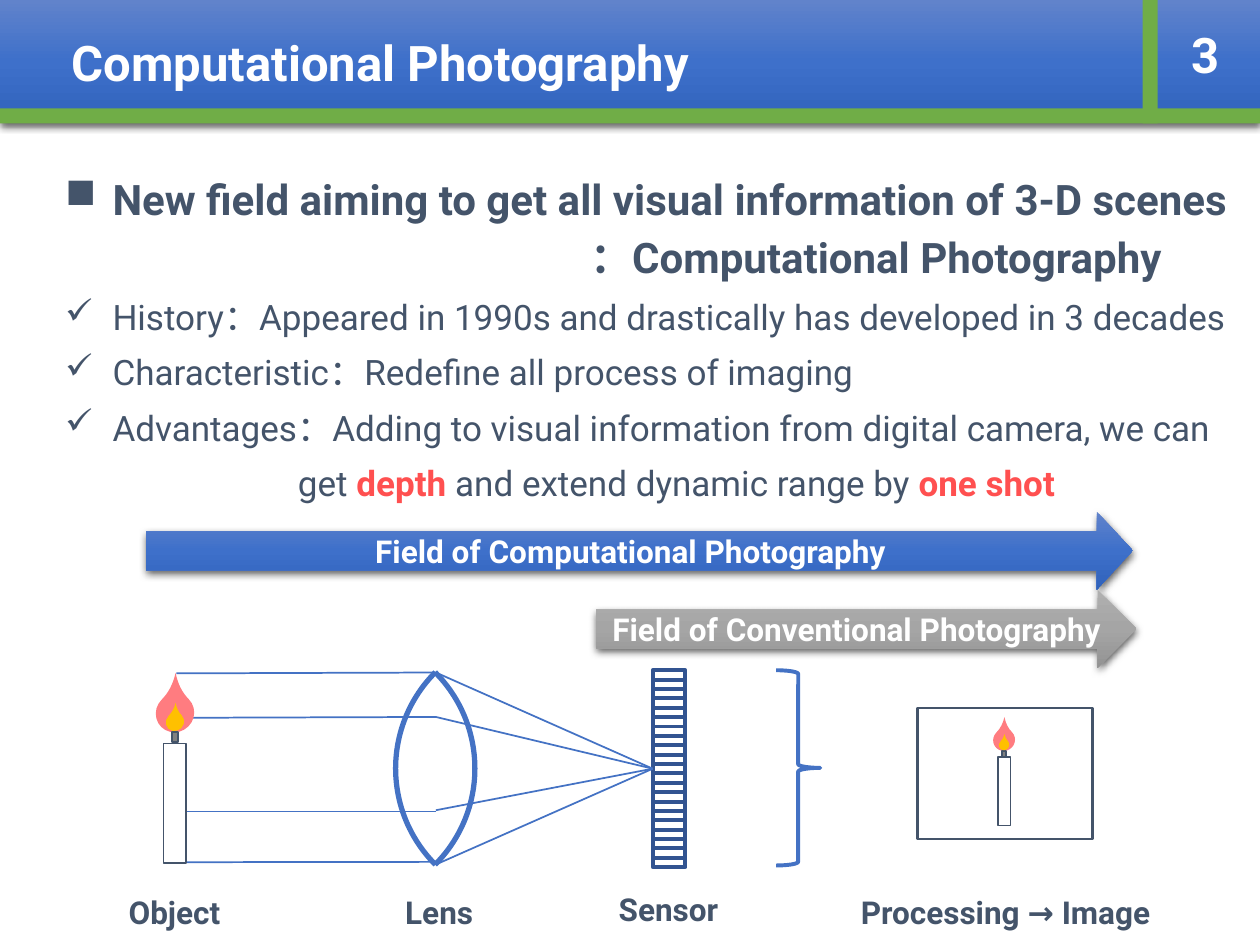
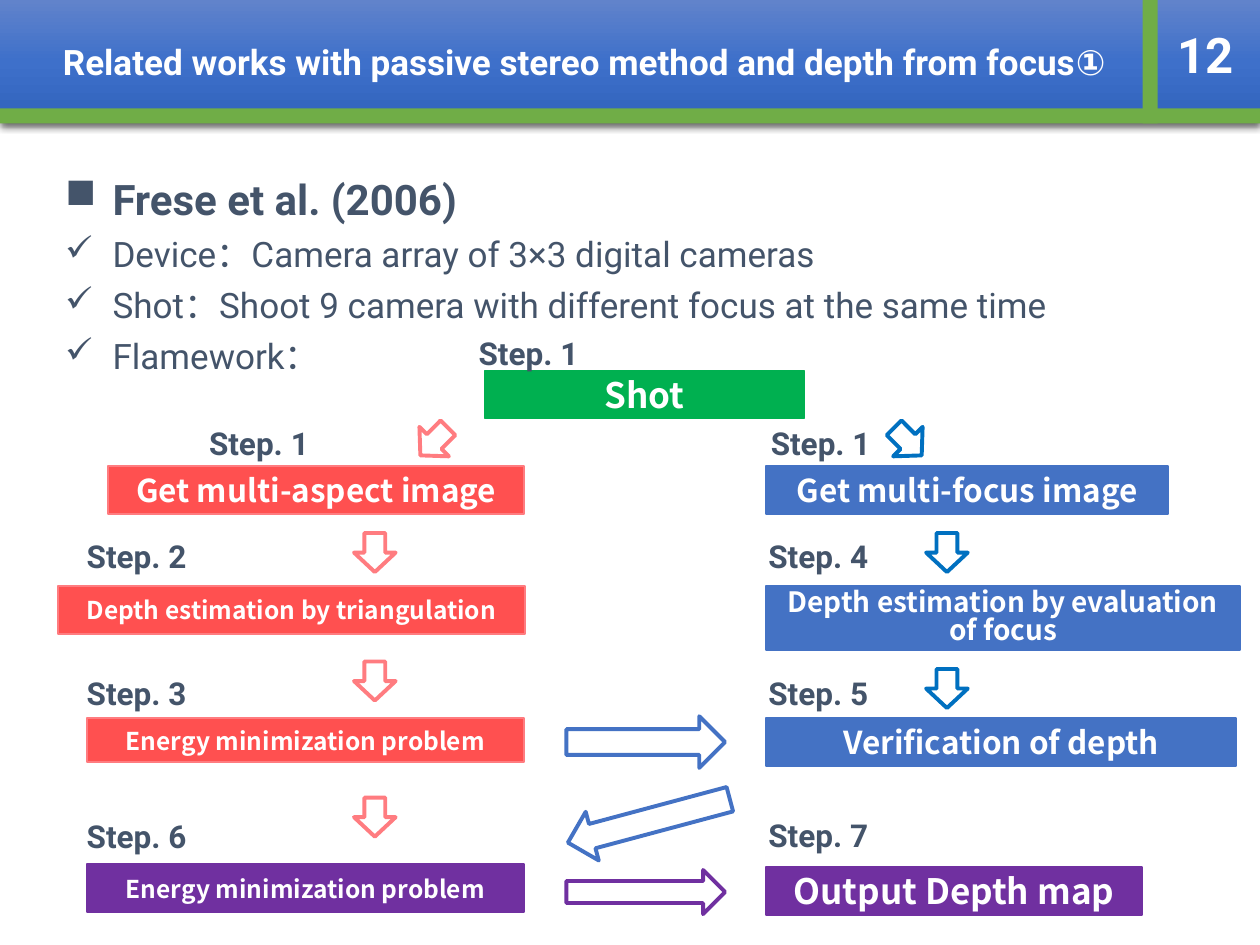
from lxml import etree
from pptx import Presentation
from pptx.dml.color import RGBColor
from pptx.enum.shapes import MSO_CONNECTOR, MSO_SHAPE
from pptx.enum.text import MSO_ANCHOR, PP_ALIGN
from pptx.oxml import parse_xml
from pptx.oxml.ns import nsdecls, qn
from pptx.util import Pt

RECT, ARC, TEARDROP = MSO_SHAPE.RECTANGLE, MSO_SHAPE.ARC, MSO_SHAPE.TEAR
RIGHT_ARROW, UP_ARROW = MSO_SHAPE.RIGHT_ARROW, MSO_SHAPE.UP_ARROW
BRACE, STRAIGHT = MSO_SHAPE.RIGHT_BRACE, MSO_CONNECTOR.STRAIGHT
LEFT, CENTER = PP_ALIGN.LEFT, PP_ALIGN.CENTER
TOP, MIDDLE = MSO_ANCHOR.TOP, MSO_ANCHOR.MIDDLE


class Theme:
    font, box_font = "Roboto", "Noto Sans CJK JP"
    white, ink, gray = "FFFFFF", "44546A", "808080"
    blue, navy, azure = "4472C4", "325491", "0070C0"
    green, bright_green, purple = "70AD47", "00B050", "7030A0"
    red, pink, amber = "FF5050", "FF7C80", "FFC000"
    blue_gradient = ("6183CB", "3E70CA", "3062BB")
    gray_gradient = ("AFAFAF", "A5A5A5", "939393")
    title, heading, body, label = 28, 24, 20, 18
    small_title, box_small, box_medium = 20, 14, 16


def add_shape(s, kind, box, fill=None, line=None, width=1):
    """Add a preset shape; a tuple of colours gives a shaded, shadowed fill."""
    sp = s.shapes.add_shape(kind, *[Pt(v) for v in box])
    sp.shadow.inherit = False
    if isinstance(fill, tuple):
        sp.fill.gradient()
        sp.fill.gradient_angle = 270
        sp_pr = sp._element.spPr
        stops = sp_pr.find(qn("a:gradFill")).find(qn("a:gsLst"))
        for stop in list(stops):
            stops.remove(stop)
        for pos, color in zip((0, 50000, 100000), fill):
            gs = etree.SubElement(stops, qn("a:gs"), pos=str(pos))
            etree.SubElement(gs, qn("a:srgbClr"), val=color)
        sp_pr.find(qn("a:effectLst")).append(parse_xml(
            f'<a:outerShdw {nsdecls("a")} blurRad="57150" dist="19050" dir="5400000" '
            'algn="ctr" rotWithShape="0"><a:srgbClr val="000000">'
            '<a:alpha val="63000"/></a:srgbClr></a:outerShdw>'))
    elif fill:
        sp.fill.solid()
        sp.fill.fore_color.rgb = RGBColor.from_string(fill)
    else:
        sp.fill.background()
    if line:
        sp.line.color.rgb = RGBColor.from_string(line)
        sp.line.width = Pt(width)
    else:
        sp.line.fill.background()
    return sp


def write(sp, text, size, color=Theme.white, font=Theme.font, align=CENTER,
          anchor=MIDDLE, spacing=1.0):
    """Put one bold paragraph into a shape or text box."""
    tf = sp.text_frame
    tf.word_wrap = True
    tf.vertical_anchor = anchor
    tf.text = text
    p = tf.paragraphs[0]
    p.alignment, p.line_spacing = align, spacing
    f = p.runs[0].font
    f.name, f.size, f.bold = font, Pt(size), True
    f.color.rgb = RGBColor.from_string(color)


prs = Presentation()
prs.slide_width, prs.slide_height = Pt(720), Pt(540)

# Title, title size, title inset, number, body width, body lines.
# A line is: bullet, left margin, size, bold, line spacing, text (*emphasised*).
HEAD, ITEM = ("■", 27, Theme.heading, True), ("✓", 27, Theme.body, False)
pages = [
    ("Computational Photography", Theme.title, 41, "3", 689.8, [
        (*HEAD, 0.9, "New field aiming to get all visual information of 3-D scenes"),
        ("", 300, Theme.heading, True, 0.9, "：Computational Photography"),
        (*ITEM, 1.0, "History：Appeared in 1990s and drastically has developed in 3 decades"),
        (*ITEM, 1.0, "Characteristic：Redefine all process of imaging"),
        (*ITEM, 1.0, "Advantages：Adding to visual information from digital camera, we can"),
        ("", 133, Theme.body, False, 1.0,
         "get *depth* and extend dynamic range by *one shot*"),
    ]),
    ("Related works with passive stereo method and depth from focus①",
     Theme.small_title, 36, "12", 658.8, [
        (*HEAD, 0.9, "Frese et al. (2006)"),
        (*ITEM, 0.9, "Device：Camera array of 3×3 digital cameras"),
        (*ITEM, 0.9, "Shot：Shoot 9 camera with different focus at the same time"),
        (*ITEM, 0.9, "Flamework："),
    ]),
]

slides = []
for title, size, inset, number, body_width, lines in pages:
    s = prs.slides.add_slide(prs.slide_layouts[6])
    slides.append(s)

    # Title band with green stripes and slide number
    band = add_shape(s, RECT, (0, 0, 720, 70.5), Theme.blue_gradient)
    write(band, title, size, align=LEFT)
    band.text_frame.margin_left = Pt(inset)
    add_shape(s, RECT, (0, 62, 720, 8.5), Theme.green)
    write(s.shapes.add_textbox(Pt(657.4), 0, Pt(62.6), Pt(62)), number, Theme.title)
    add_shape(s, RECT, (653, 0, 8.5, 70.5), Theme.green)

    # Body text
    tf = s.shapes.add_textbox(Pt(30.2), Pt(98.6), Pt(body_width), Pt(300)).text_frame
    tf.word_wrap = True
    for i, (bullet, margin, size, bold, spacing, text) in enumerate(lines):
        p = tf.add_paragraph() if i else tf.paragraphs[0]
        p_pr = p._p.get_or_add_pPr()
        p_pr.set("marL", str(Pt(margin)))
        p_pr.set("indent", str(-Pt(margin) if bullet else 0))
        if bullet:
            etree.SubElement(p_pr, qn("a:buChar"), char=bullet)
        else:
            etree.SubElement(p_pr, qn("a:buNone"))
        p.line_spacing = spacing
        if i:
            p.space_before = Pt(7.5)
        for j, part in enumerate(text.split("*")):
            if not part:
                continue
            r = p.add_run()
            r.text = part
            strong = j % 2 == 1
            r.font.name, r.font.size, r.font.bold = Theme.font, Pt(size), bold or strong
            r.font.color.rgb = RGBColor.from_string(Theme.red if strong else Theme.ink)

imaging, framework = slides

# Imaging: arrows naming the two fields
s = imaging
field = add_shape(s, RIGHT_ARROW, (83.5, 292.3, 563.8, 44.6), Theme.blue_gradient)
field.adjustments[1] = 0.46
write(field, "Field of Computational Photography", Theme.label)
field = add_shape(s, RIGHT_ARROW, (340.6, 337, 308.9, 44.6), Theme.gray_gradient)
write(field, "Field of Conventional Photography", Theme.label)

# Lens: two facing arcs, angles in units of 100000/60000 degree
for x, start, end in [(115.9, 315, 45), (226.1, 135, 225)]:
    arc = add_shape(s, ARC, (x, 361.4, 155.5, 155.5), None, Theme.blue, 3)
    arc.adjustments[0], arc.adjustments[1] = start * 0.6, end * 0.6

# Sensor: a column of cells
CELL = 5.36
cells = [add_shape(s, RECT, (373, 383 + i * CELL, 18.7, CELL), None, Theme.navy, 2.25)
         for i in range(21)]

# Light rays: object to lens, then lens to the middle sensor cell
for object_y, lens_y, bent_y in [(384.8, 384.3, 384.3), (410.2, 409.7, 409.7),
                                 (463.7, 463.7, 463), (492.7, 492.5, 494)]:
    ray_in = s.shapes.add_connector(STRAIGHT, Pt(249.1), Pt(lens_y), Pt(100.8), Pt(object_y))
    ray_out = s.shapes.add_connector(STRAIGHT, Pt(249.1), Pt(bent_y), Pt(373), Pt(439.3))
    ray_out.end_connect(cells[10], 1)
    for ray in (ray_in, ray_out):
        ray.line.color.rgb = RGBColor.from_string(Theme.blue)
        ray.line.width = Pt(1)
        etree.SubElement(ray._element.spPr, qn("a:effectLst"))

# Processing: brace and image frame
add_shape(s, BRACE, (443.5, 383, 25.2, 111.6), None, Theme.blue, 2.25)
add_shape(s, RECT, (524.2, 404.6, 100, 74.9), None, Theme.ink, 1.5)

# Candle as object and, smaller, as its image
candle_parts = [
    (RECT, 0, 13, 68.4, Theme.white, Theme.ink),
    (TEARDROP, -28.1, 22.3, 21.6, Theme.pink, None),
    (RECT, -6.5, 3.6, 5.8, Theme.gray, Theme.ink),
    (TEARDROP, -17.3, 10.8, 10.1, Theme.amber, None),
]
for center, top, scale in [(100, 424.8, 1), (573.8, 432.7, 0.57)]:
    for kind, dy, w, h, fill, line in candle_parts:
        w, h = w * scale, h * scale
        part = add_shape(s, kind, (center - w / 2, top + dy * scale, w, h), fill, line)
        if kind == TEARDROP:
            part.rotation = 315
            part.adjustments[0] = 1.48

# Framework: boxes
s = framework
boxes = [
    ("Shot", (277.2, 211.7, 182.2, 27.4), Theme.bright_green, Theme.bright_green, Theme.body),
    ("Get multi-aspect image", (61.9, 266.4, 237.6, 27.4), Theme.red, Theme.pink, Theme.label),
    ("Depth estimation by triangulation", (33.1, 334.8, 267, 27.4),
     Theme.red, Theme.pink, Theme.box_small),
    ("Energy minimization problem", (49.7, 410.4, 249.8, 25.2),
     Theme.red, Theme.pink, Theme.box_small),
    ("Energy minimization problem", (49.7, 493.9, 249.8, 27.4),
     Theme.purple, Theme.purple, Theme.box_small),
    ("Get multi-focus image", (437.8, 266.4, 229.7, 27.4), Theme.blue, Theme.blue, Theme.label),
    ("Depth estimation by evaluation of focus", (437.8, 334.8, 270.7, 36.7),
     Theme.blue, Theme.blue, Theme.box_medium),
    ("Verification of depth", (437.8, 410.4, 268.6, 27.4), Theme.blue, Theme.blue, Theme.label),
    ("Output Depth map", (437.8, 495.4, 214.6, 27.4), Theme.purple, Theme.purple, Theme.body),
]
for text, box, fill, line, size in boxes:
    write(add_shape(s, RECT, box, fill, line), text, size, font=Theme.box_font,
          spacing=0.85 if size == Theme.box_medium else 1.0)

# Framework: block arrows, short ones first
SHORT = (23.8, 22.3)
arrows = [(236.2, 241.2, *SHORT, 225, Theme.pink), (506.9, 241.2, *SHORT, 135, Theme.azure)]
arrows += [(202.3, y, *SHORT, 180, Theme.pink) for y in (304.6, 378, 455.8)]
arrows += [(529.2, y, *SHORT, 180, Theme.azure) for y in (304.6, 382.3)]
arrows += [
    (354.2, 378.7, 29.5, 90.7, 90, Theme.blue),
    (356.4, 421.2, 28.8, 95.8, 255, Theme.blue),
    (356.4, 464.4, 25.2, 90.7, 90, Theme.purple),
]
for x, y, w, h, turn, color in arrows:
    add_shape(s, UP_ARROW, (x, y, w, h), Theme.white, color, 2.25).rotation = turn

# Captions on both slides: slide, text, centre, top, width
captions = [
    (imaging, "Object", 99.7, 509, 100),
    (imaging, "Lens", 251, 509, 100),
    (imaging, "Sensor", 382, 507.6, 100),
    (imaging, "Processing → Image", 574.6, 509, 220),
    (framework, "Step. 1", 302, 190, 100),
    (framework, "Step. 1", 148, 241.2, 100),
    (framework, "Step. 1", 469, 241.2, 100),
    (framework, "Step. 2", 78.1, 306, 100),
    (framework, "Step. 3", 78.1, 383.8, 100),
    (framework, "Step. 4", 467.6, 306, 100),
    (framework, "Step. 5", 467.6, 383.8, 100),
    (framework, "Step. 6", 78.1, 465.8, 100),
    (framework, "Step. 7", 467.6, 465.1, 100),
]
for s, text, center, top, width in captions:
    box = s.shapes.add_textbox(Pt(center - width / 2), Pt(top), Pt(width), Pt(30))
    write(box, text, Theme.label, Theme.ink, anchor=TOP, spacing=0.9)

prs.save("out.pptx")
